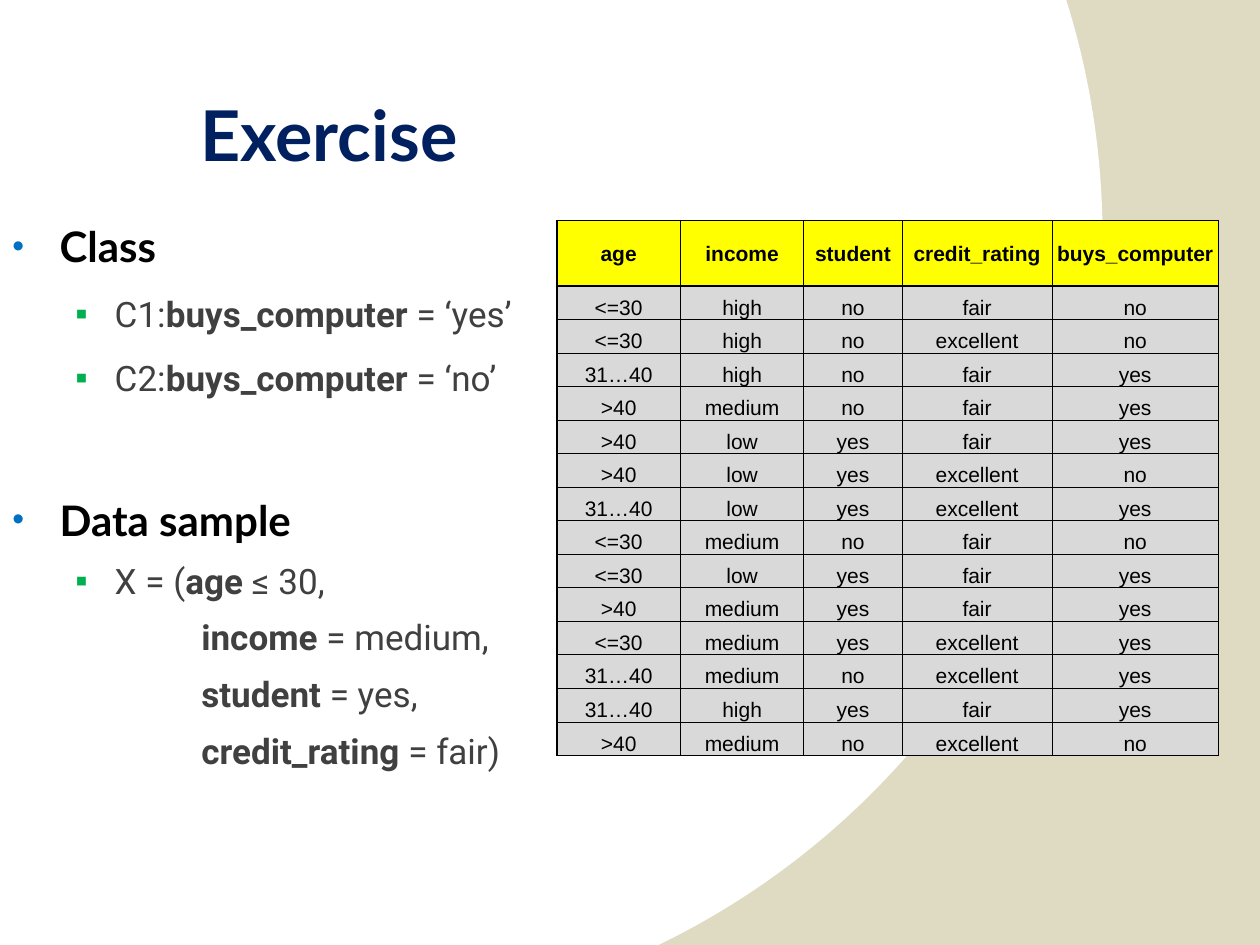
from dataclasses import dataclass
from typing import NamedTuple

import pptx
import pptx.dml.color
import pptx.enum.text
import pptx.oxml
import pptx.oxml.ns
import pptx.util

Pt = pptx.util.Pt
ANCHOR = pptx.enum.text.MSO_ANCHOR
ALIGN = pptx.enum.text.PP_ALIGN
NS = pptx.oxml.ns.nsdecls("a")

BLACK, GREY, NAVY = "000000", "404040", "002060"
HEADER_FILL, ROW_FILL = "FFFF00", "D9D9D9"


class Customer(NamedTuple):
    age: str
    income: str
    student: str
    credit_rating: str
    buys_computer: str


@dataclass
class Line:
    wording: list[str]  # plain and bold text in turn, starting with plain
    margin: float
    hanging: float = 0
    before: float = 10
    bullet: str = ""
    bullet_color: str = BLACK
    bullet_percent: int = 100
    size: float = 20
    font: str = "Roboto"
    color: str = GREY


def rgb(value: str) -> pptx.dml.color.RGBColor:
    return pptx.dml.color.RGBColor.from_string(value)


def add_text(paragraph, text: str, *, size: float, font: str,
             color: str = BLACK, bold: bool = False) -> None:
    run = paragraph.add_run()
    run.text = text
    run.font.size = Pt(size)
    run.font.name = font
    run.font.bold = bold
    run.font.color.rgb = rgb(color)


def set_background(slide, inner: str, outer: str) -> None:
    """Sharp-edged circle of the inner colour on the outer one."""
    slide.background.fill.solid()
    slide.background.fill.fore_color.rgb = rgb(outer)
    solid = slide.element.find(".//" + pptx.oxml.ns.qn("a:solidFill"))
    stops = "".join(f'<a:gs pos="100000"><a:srgbClr val="{c}"/></a:gs>'
                    for c in (inner, outer))
    gradient = pptx.oxml.parse_xml(
        f'<a:gradFill {NS} rotWithShape="1"><a:gsLst>{stops}</a:gsLst>'
        '<a:path path="circle"><a:fillToRect l="50000" t="50000" '
        'r="100000" b="100000"/></a:path></a:gradFill>')
    solid.getparent().replace(solid, gradient)


def add_line(paragraph, line: Line, first: bool) -> None:
    properties = paragraph._p.get_or_add_pPr()
    properties.set("marL", str(Pt(line.margin)))
    properties.set("indent", str(Pt(-line.hanging)))
    if line.bullet:
        for xml in (
            f'<a:buClr {NS}><a:srgbClr val="{line.bullet_color}"/></a:buClr>',
            f'<a:buSzPct {NS} val="{line.bullet_percent * 1000}"/>',
            f'<a:buFont {NS} typeface="Arial"/>',
            f'<a:buChar {NS} char="{line.bullet}"/>',
        ):
            properties.append(pptx.oxml.parse_xml(xml))
    paragraph.line_spacing = 1.1
    if not first:
        paragraph.space_before = Pt(line.before)
    for index, words in enumerate(line.wording):
        if words:
            add_text(paragraph, words, size=line.size, font=line.font,
                     color=line.color, bold=index % 2 == 1)


def set_borders(cell, **widths: float) -> None:
    properties = cell._tc.get_or_add_tcPr()
    for side, width in widths.items():
        properties.append(pptx.oxml.parse_xml(
            f'<a:ln{side} {NS} w="{Pt(width)}"><a:solidFill>'
            f'<a:srgbClr val="{BLACK}"/></a:solidFill></a:ln{side}>'))


def add_customer_table(slide, rows: list[Customer]) -> None:
    widths = (70.56, 70.56, 56.16, 85.68, 95.04)
    header_height, row_height = 37.44, 19.18
    height = header_height + row_height * (len(rows) - 1)
    table = slide.shapes.add_table(
        len(rows), len(widths), Pt(318.24), Pt(126),
        Pt(sum(widths)), Pt(height)).table
    table.first_row = table.horz_banding = False
    for column, width in zip(table.columns, widths):
        column.width = Pt(width)
    last_row, last_column = len(rows) - 1, len(widths) - 1
    for r, customer in enumerate(rows):
        header = r == 0
        table.rows[r].height = Pt(header_height if header else row_height)
        for c, value in enumerate(customer):
            cell = table.cell(r, c)
            set_borders(cell,
                        L=1.5 if c == 0 else 0.5,
                        R=1 if c == last_column else 0.5,
                        T=1 if r <= 1 else 0.5,
                        B=1 if r in (0, last_row) else 0.5)
            cell.fill.solid()
            cell.fill.fore_color.rgb = rgb(HEADER_FILL if header else ROW_FILL)
            cell.margin_left = cell.margin_right = cell.margin_top = Pt(0.72)
            cell.margin_bottom = Pt(0)
            cell.vertical_anchor = ANCHOR.MIDDLE if header else ANCHOR.BOTTOM
            paragraph = cell.text_frame.paragraphs[0]
            paragraph.alignment = ALIGN.CENTER
            add_text(paragraph, value, size=12, font="Arial", bold=header)


def heading(text: str, before: float = 10) -> Line:
    return Line(["", text], 27, 27, before, "•", "0070C0", 80,
                size=24, font="Lato", color=BLACK)


def item(*wording: str, before: float = 10) -> Line:
    return Line(list(wording), 58.5, 22.5, before, "▪", "00B050")


def continuation(*wording: str) -> Line:
    return Line(["", *wording], 108, before=6)


LINES = [
    heading("Class"),
    item("C1:", "buys_computer", " = ‘yes’"),
    item("C2:", "buys_computer", " = ‘no’"),
    heading("Data sample", before=52),
    item("X = (", "age ", "≤ 30,", before=6),
    continuation("income ", "= medium,"),
    continuation("student ", "= yes,"),
    continuation("credit_rating ", "= fair)"),
]

CUSTOMERS = [
    Customer("age", "income", "student", "credit_rating", "buys_computer"),
    Customer("<=30", "high", "no", "fair", "no"),
    Customer("<=30", "high", "no", "excellent", "no"),
    Customer("31…40", "high", "no", "fair", "yes"),
    Customer(">40", "medium", "no", "fair", "yes"),
    Customer(">40", "low", "yes", "fair", "yes"),
    Customer(">40", "low", "yes", "excellent", "no"),
    Customer("31…40", "low", "yes", "excellent", "yes"),
    Customer("<=30", "medium", "no", "fair", "no"),
    Customer("<=30", "low", "yes", "fair", "yes"),
    Customer(">40", "medium", "yes", "fair", "yes"),
    Customer("<=30", "medium", "yes", "excellent", "yes"),
    Customer("31…40", "medium", "no", "excellent", "yes"),
    Customer("31…40", "high", "yes", "fair", "yes"),
    Customer(">40", "medium", "no", "excellent", "no"),
]


def main() -> None:
    deck = pptx.Presentation()
    deck.slide_width, deck.slide_height = Pt(720), Pt(540)
    slide = deck.slides.add_slide(deck.slide_layouts[5])
    set_background(slide, "FFFFFF", "DFDBC2")

    # Title
    title = slide.shapes.title
    title.left, title.top = Pt(107.28), Pt(48.96)
    title.width, title.height = Pt(564.48), Pt(69.84)
    title.text_frame.vertical_anchor = ANCHOR.TOP
    title_line = title.text_frame.paragraphs[0]
    title_line.alignment = ALIGN.LEFT
    add_text(title_line, "Exercise", size=40, font="Lato", color=NAVY, bold=True)

    # Classes and data sample
    outline = slide.shapes.add_textbox(Pt(0), Pt(119.52), Pt(342.72), Pt(370.08))
    frame = outline.text_frame
    frame.word_wrap = True
    for index, line in enumerate(LINES):
        paragraph = frame.add_paragraph() if index else frame.paragraphs[0]
        add_line(paragraph, line, first=index == 0)

    # Training data
    add_customer_table(slide, CUSTOMERS)

    deck.save("out.pptx")


if __name__ == "__main__":
    main()
